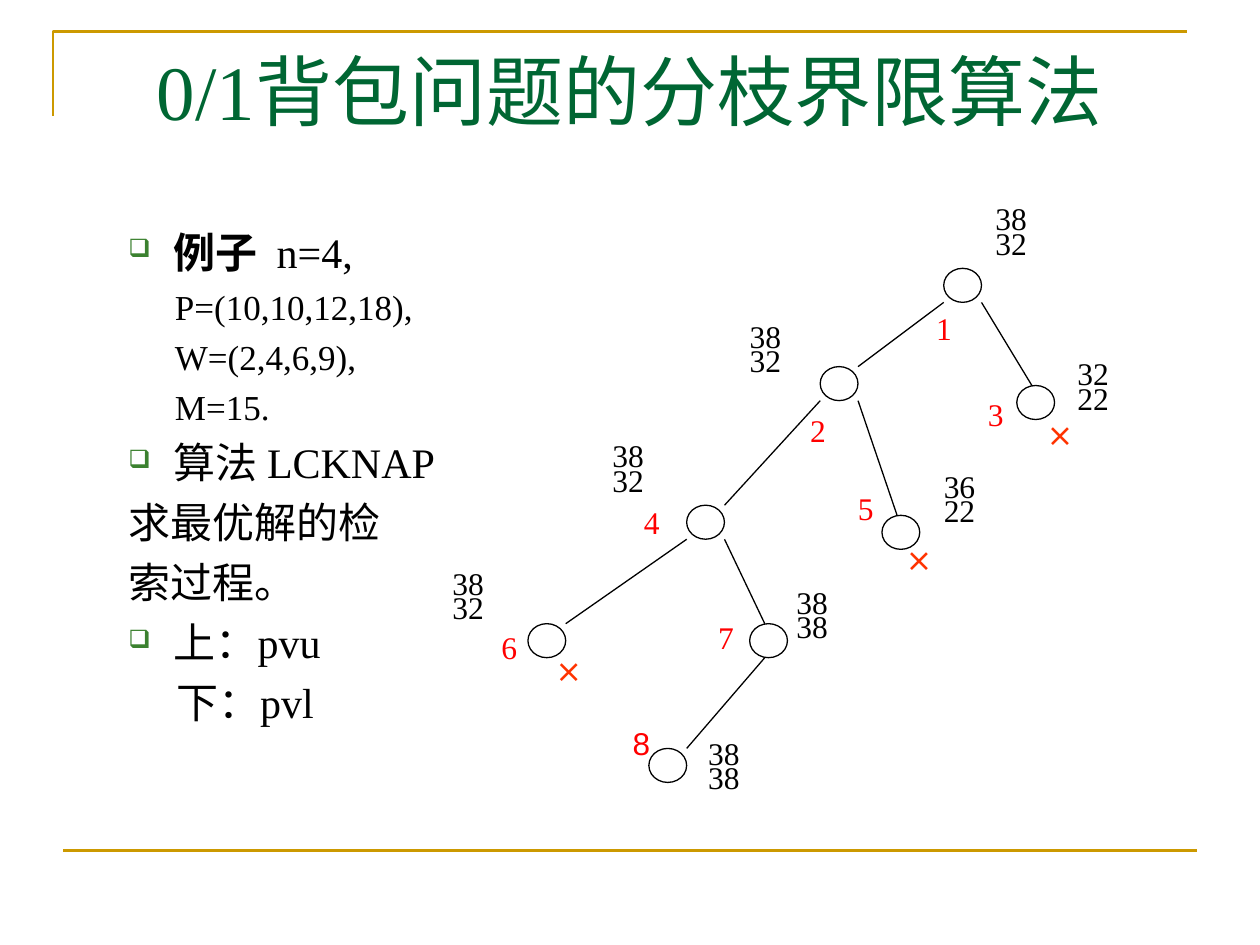
from lxml.etree import SubElement
from pptx import Presentation
from pptx.dml.color import RGBColor
from pptx.enum.shapes import MSO_CONNECTOR as Connector, MSO_SHAPE as Preset
from pptx.enum.text import MSO_ANCHOR as Anchor, MSO_AUTO_SIZE as AutoSize, PP_ALIGN as Align
from pptx.oxml.ns import qn
from pptx.util import Inches, Pt

BLACK = RGBColor(0x00, 0x00, 0x00)
GOLD = RGBColor(0xCC, 0x99, 0x00)
GREEN = RGBColor(0x00, 0x66, 0x33)
RED = RGBColor(0xFF, 0x00, 0x00)
ORANGE = RGBColor(0xFF, 0x33, 0x00)
BULLET_GREEN = "3B812F"

# The slide is a grid of 100 columns by 75 rows
COLUMNS = 100
NODE_WIDTH, NODE_HEIGHT = 3, 2.7


class Board:
    font = "Times New Roman"
    thin, thick = Pt(0.75), Pt(1.5)

    def __init__(self, deck):
        self.cell = deck.slide_width / COLUMNS
        self.page = deck.slides.add_slide(deck.slide_layouts[6])
        self.shapes = self.page.shapes

    def grid(self, *lengths):
        return [round(length * self.cell) for length in lengths]

    def start_group(self):
        self.shapes = self.page.shapes.add_group_shape().shapes

    def end_group(self):
        self.shapes = self.page.shapes

    def line(self, start, end, color=BLACK, width=thin):
        line = self.shapes.add_connector(Connector.STRAIGHT, *self.grid(*start, *end))
        line.line.color.rgb, line.line.width = color, width
        SubElement(line._element.spPr, qn("a:effectLst"))

    def outline(self, shape, color, width):
        shape.shadow.inherit = False
        shape.fill.background()
        shape.line.color.rgb, shape.line.width = color, width

    def corner(self, first, *others):
        builder = self.shapes.build_freeform(*self.grid(*first))
        builder.add_line_segments([self.grid(*point) for point in others], close=False)
        self.outline(builder.convert_to_shape(), GOLD, self.thick)

    def node(self, left, top):
        area = self.grid(left, top, NODE_WIDTH, NODE_HEIGHT)
        self.outline(self.shapes.add_shape(Preset.OVAL, *area), BLACK, self.thin)

    def box(self, left, top, width, height, inset=True):
        frame = self.shapes.add_textbox(*self.grid(left, top, width, height)).text_frame
        frame.word_wrap, frame.auto_size = True, AutoSize.NONE
        frame.vertical_anchor = Anchor.TOP
        if not inset:
            frame.margin_left = frame.margin_right = 0
            frame.margin_top = frame.margin_bottom = 0
        return frame

    def add_text(self, para, text, size=18, color=BLACK, font=font, bold=False):
        span = para.add_run()
        span.text = text
        span.font.size, span.font.name, span.font.bold = Pt(size), font, bold
        span.font.color.rgb = color

    def label(self, left, top, *lines, width=4.8, height=5.6, **style):
        frame = self.box(left, top, width, height, inset=False)
        for index, text in enumerate(lines):
            para = frame.add_paragraph() if index else frame.paragraphs[0]
            para.alignment, para.line_spacing = Align.JUSTIFY, 0.64
            self.add_text(para, text, **style)

    def centered(self, area, text, **style):
        para = self.box(*area).paragraphs[0]
        para.alignment = Align.CENTER
        self.add_text(para, text, **style)

    def indent(self, para, margin, first, size, bullet=False):
        para.space_before = Pt(round(size * 0.23, 1))
        props = para._p.get_or_add_pPr()
        props.set("marL", str(Inches(margin)))
        props.set("indent", str(Inches(first)))
        if bullet:
            color = SubElement(props, qn("a:buClr"))
            SubElement(color, qn("a:srgbClr"), val=BULLET_GREEN)
            SubElement(props, qn("a:buSzPct"), val="60000")
            SubElement(props, qn("a:buChar"), char="❑")
        else:
            SubElement(props, qn("a:buNone"))


deck = Presentation()
deck.slide_width, deck.slide_height = Inches(10), Inches(7.5)
board = Board(deck)

# Frame lines and title
board.corner((4.2, 9.2), (4.2, 2.5), (94.2, 2.5))
board.line((5, 67.5), (95, 67.5), color=GOLD, width=board.thick)
board.centered((5, 3, 90, 12.5), "0/1背包问题的分枝界限算法", size=44, color=GREEN)

# Example: spans, then size, margin, first-line indent and bullet
item, plain, detail = (24, 0.73, -0.36, True), (24, 0.73, -0.36), (20, 1.12, -0.38)
body = [
    ([("例子 ", True), (" n=4, ", False)], item),
    ([("P=(10,10,12,18), ", False)], detail),
    ([("W=(2,4,6,9), ", False)], detail),
    ([("M=15. ", False)], detail),
    ([("算法 LCKNAP", False)], item),
    ([("求最优解的检", False)], plain),
    ([("索过程。", False)], plain),
    ([("上：pvu", False)], item),
    ([("下：pvl", False)], (24, 0.75, 0)),
]
frame = board.box(5.5, 17.5, 31.3, 49.5)
for index, (spans, (size, *layout)) in enumerate(body):
    para = frame.add_paragraph() if index else frame.paragraphs[0]
    board.indent(para, *layout[:2], size, *layout[2:])
    for text, bold in spans:
        board.add_text(para, text, size=size, bold=bold)

# Search tree: node corner, bounds with their place, number place
tree = {
    1: ((74.9, 21.3), (79, 16.8, "38", "32"), (74.3, 25.5)),
    2: ((65.1, 29.1), (59.5, 26.1, "38", "32"), (64.3, 33.6)),
    3: ((80.7, 30.6), (85.5, 29.1, "32", "22"), (78.4, 32.3)),
    4: ((54.5, 40.1), (48.6, 35.6, "38", "32"), (51.1, 40.9)),
    5: ((70, 40.9), (74.9, 38, "36", "22"), (68.1, 39.8)),
    6: ((41.9, 49.5), (35.9, 45.7, "38", "32"), (39.8, 50.8)),
    7: ((59.5, 49.5), (63.2, 47.2, "38", "38"), (57, 50)),
    8: ((51.5, 59.4), (56.2, 59.2, "38", "38"), None),
}
# Edges leave and reach a node at a share of its width
LEFT, RIGHT = (0, 1), (1, 0.4)
edges = [(1, 2, LEFT), (1, 3, RIGHT), (2, 4, LEFT), (2, 5, RIGHT),
         (4, 6, LEFT), (4, 7, RIGHT), (7, 8, (0.4, 1))]

board.start_group()
for parent, child, (leave, reach) in edges:
    (start_x, start_y), (end_x, end_y) = tree[parent][0], tree[child][0]
    board.line((start_x + leave * NODE_WIDTH, start_y + NODE_HEIGHT),
               (end_x + reach * NODE_WIDTH, end_y))
for number, (corner, bounds, place) in tree.items():
    board.node(*corner)
    board.label(*bounds)
    if place:
        board.label(*place, str(number), width=3.6, height=3.6, color=RED)
board.end_group()

# Last number and marks of cut branches
board.centered((48.4, 57, 5, 4), "8", color=RED, font="Arial")
for left, top in [(71.9, 43.8), (83.1, 33.9), (44.1, 52.6)]:
    board.label(left, top, "×", width=3.6, height=3.6, color=ORANGE, font="DejaVu Sans")

deck.save("out.pptx")
